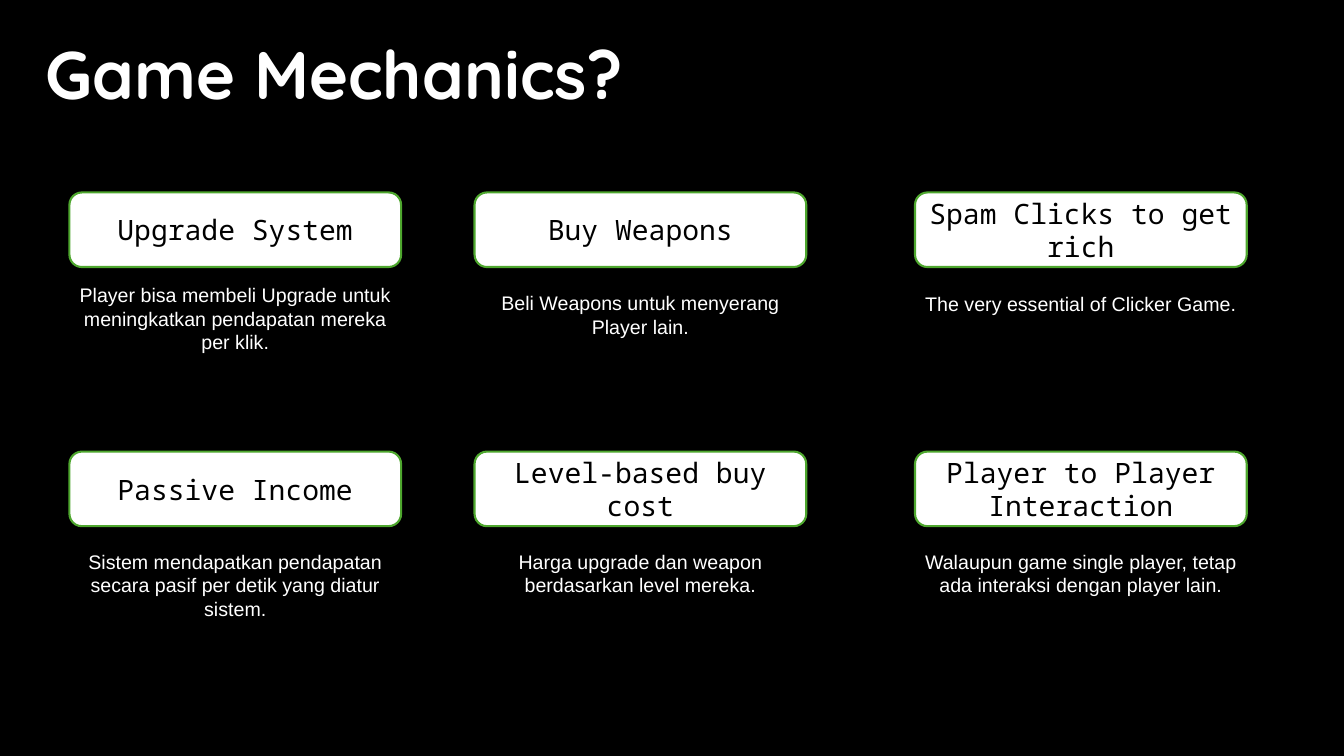
from pptx import Presentation
from pptx.dml.color import RGBColor
from pptx.enum.shapes import MSO_SHAPE
from pptx.enum.text import MSO_ANCHOR as Anchor, MSO_AUTO_SIZE as AutoSize, PP_ALIGN as Align
from pptx.util import Cm, Pt

COLORS = {"background": "000000", "light": "FFFFFF", "dark": "000000", "border": "4EA72E"}

COLUMN_LEFTS = (1.75, 11.96, 23.06)
CARD_WIDTH, CARD_HEIGHT = 8.36, 1.88

MECHANICS = [
    (4.85, [
        ("Upgrade System", 7.01, 2.06,
         "Player bisa membeli Upgrade untuk meningkatkan pendapatan mereka per klik."),
        ("Buy Weapons", 7.21, 1.45, "Beli Weapons untuk menyerang Player lain."),
        ("Spam Clicks to get rich", 7.24, 0.86, "The very essential of Clicker Game."),
    ]),
    (11.38, [
        ("Passive Income", 13.72, 2.06,
         "Sistem mendapatkan pendapatan secara pasif per detik yang diatur sistem."),
        ("Level-based buy cost", 13.72, 1.45,
         "Harga upgrade dan weapon berdasarkan level mereka."),
        ("Player to Player Interaction", 13.72, 1.45,
         "Walaupun game single player, tetap ada interaksi dengan player lain."),
    ]),
]


class SlideBuilder:
    FONTS = {
        "title": {"name": "Quicksand", "size": Pt(48), "bold": True},
        "card": {"name": "Noto Sans Mono", "size": Pt(20)},
        "description": {"name": "Arial", "size": Pt(14)},
    }

    def __init__(self, presentation):
        self.slide = presentation.slides.add_slide(presentation.slide_layouts[6])
        self.paint(self.slide.background.fill, "background")

    def paint(self, fill, color):
        fill.solid()
        fill.fore_color.rgb = RGBColor.from_string(COLORS[color])

    def set_text(self, shape, text, style, color, alignment, frame_format):
        for name, value in frame_format.items():
            setattr(shape.text_frame, name, value)
        paragraph = shape.text_frame.paragraphs[0]
        paragraph.alignment = alignment
        run = paragraph.add_run()
        run.text = text
        for name, value in self.FONTS[style].items():
            setattr(run.font, name, value)
        run.font.color.rgb = RGBColor.from_string(COLORS[color])

    def text_box(self, box, text, style, alignment, wrap):
        shape = self.slide.shapes.add_textbox(*map(Cm, box))
        frame_format = {"word_wrap": wrap, "auto_size": AutoSize.SHAPE_TO_FIT_TEXT}
        self.set_text(shape, text, style, "light", alignment, frame_format)

    def card(self, box, text):
        shape = self.slide.shapes.add_shape(MSO_SHAPE.ROUNDED_RECTANGLE, *map(Cm, box))
        shape.shadow.inherit = False
        self.paint(shape.fill, "light")
        self.paint(shape.line.fill, "border")
        shape.line.width = Pt(1.5)
        frame_format = {"word_wrap": True, "vertical_anchor": Anchor.MIDDLE}
        self.set_text(shape, text, "card", "dark", Align.CENTER, frame_format)


def main():
    presentation = Presentation()
    presentation.slide_width, presentation.slide_height = Cm(33.87), Cm(19.05)
    builder = SlideBuilder(presentation)
    builder.text_box((0.89, 0.69, 15.72, 2.31), "Game Mechanics?", "title", Align.LEFT, False)
    for card_top, mechanics in MECHANICS:
        for left, (name, top, height, description) in zip(COLUMN_LEFTS, mechanics):
            builder.card((left, card_top, CARD_WIDTH, CARD_HEIGHT), name)
            builder.text_box((left, top, CARD_WIDTH, height), description,
                             "description", Align.CENTER, True)
    presentation.save("out.pptx")


if __name__ == "__main__":
    main()
